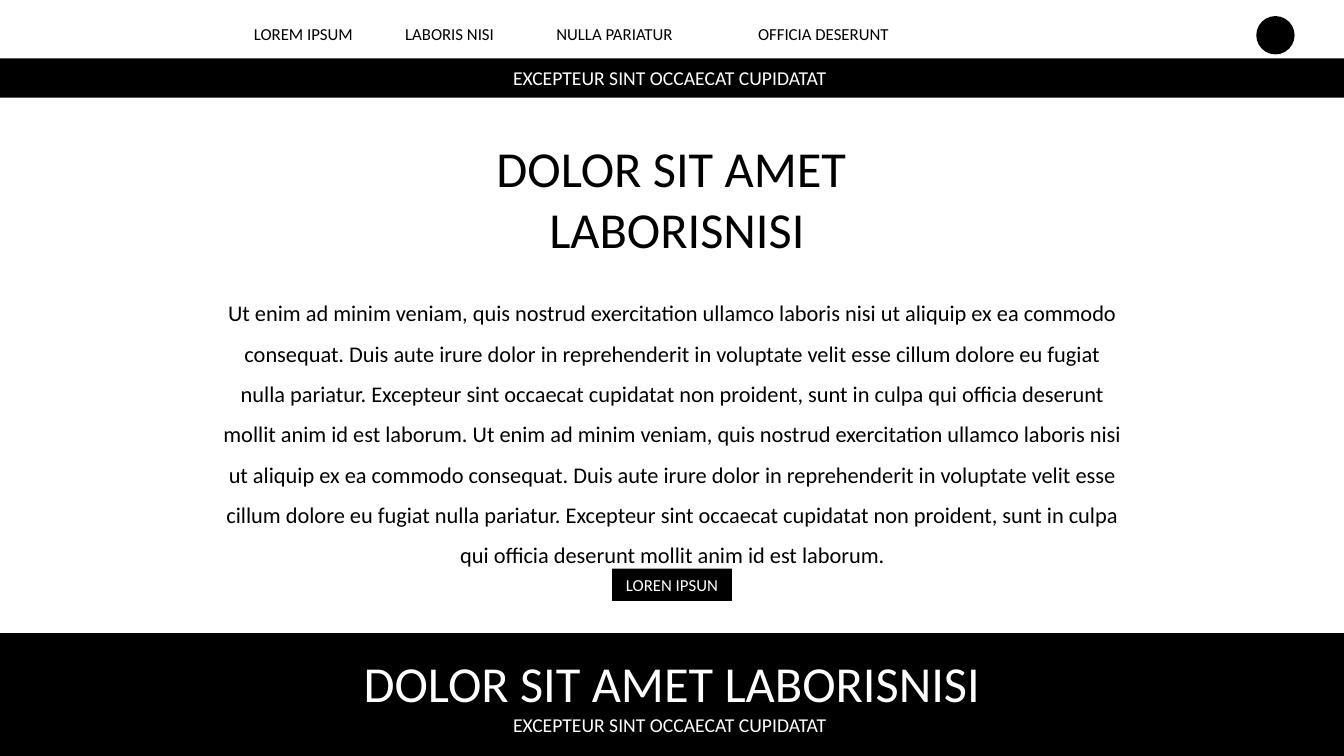
from pptx import Presentation
from pptx.dml.color import RGBColor
from pptx.enum.shapes import MSO_SHAPE as Shape
from pptx.enum.text import MSO_ANCHOR as Anchor, MSO_AUTO_SIZE as AutoSize, PP_ALIGN as Align
from pptx.util import Pt

PX = 9144  # EMU per px, 100 px to the inch
BLACK, WHITE = "000000", "FFFFFF"
TAGLINE = "EXCEPTEUR SINT OCCAECAT CUPIDATAT "


def add_block(box, kind=Shape.RECTANGLE):
    block = slide.shapes.add_shape(kind, *[n * PX for n in box])
    block.shadow.inherit = False
    block.fill.solid()
    block.fill.fore_color.rgb = RGBColor.from_string(BLACK)
    block.line.fill.background()
    return block


def write(holder, lines, color, insets, align=Align.CENTER, anchor=Anchor.MIDDLE, wrap=True):
    """Fill a shape with (text, point size) lines; insets are left, top, right, bottom."""
    frame = holder.text_frame
    frame.text = "\n".join(text for text, size in lines)
    frame.auto_size = AutoSize.NONE
    frame.word_wrap = wrap
    frame.vertical_anchor = anchor
    frame.margin_left, frame.margin_top, frame.margin_right, frame.margin_bottom = [
        n * PX for n in insets]
    for paragraph, (text, size) in zip(frame.paragraphs, lines):
        paragraph.alignment = align
        font = paragraph.runs[0].font
        font.name, font.size = "Calibri", Pt(size)
        font.color.rgb = RGBColor.from_string(color)


prs = Presentation()
prs.slide_width, prs.slide_height = 1333 * PX, 750 * PX
slide = prs.slides.add_slide(prs.slide_layouts[5])

# Header band
header = add_block((0, 58, 1333, 39))
write(header, [(TAGLINE, 14)], WHITE, (8, 8, 8, 8))

# Title
title = slide.shapes.title
title.left, title.top, title.width, title.height = [n * PX for n in (242, 116, 849, 161)]
write(title, [("DOLOR SIT AMET ", 36), ("LABORISNISI", 36)], BLACK, (20, 20, 10, 20))

# Navigation, spaced by the default one-inch tabs
sections = ["LOREM IPSUM", "LABORIS NISI", "NULLA PARIATUR", "OFFICIA DESERUNT "]
navigation = slide.shapes.add_textbox(*[n * PX for n in (242, 19, 850, 30)])
write(navigation, [("\t\t".join(sections), 12)], BLACK, (10, 5, 10, 5),
      Align.LEFT, Anchor.TOP, wrap=False)

# Footer band
footer = add_block((0, 628, 1333, 122))
write(footer, [("DOLOR SIT AMET LABORISNISI", 36), (TAGLINE, 14)], WHITE, (8, 8, 8, 8))

# Body copy: the same passage twice
passage = (
    "Ut enim ad minim veniam, quis nostrud exercitation ullamco laboris nisi ut aliquip "
    "ex ea commodo consequat. Duis aute irure dolor in reprehenderit in voluptate velit "
    "esse cillum dolore eu fugiat nulla pariatur. Excepteur sint occaecat cupidatat non "
    "proident, sunt in culpa qui officia deserunt mollit anim id est laborum."
)
story = slide.shapes.add_textbox(*[n * PX for n in (211, 279, 912, 293)])
write(story, [(" ".join([passage] * 2), 16)], BLACK, (10, 5, 10, 5), anchor=Anchor.TOP)
story.text_frame.paragraphs[0].line_spacing = 1.5

# Button
button = add_block((607, 564, 119, 32))
write(button, [("LOREN IPSUN", 12)], WHITE, (0, 0, 0, 0))

# Plain disc in the top corner
add_block((1246, 16, 38, 38), Shape.OVAL)

prs.save("out.pptx")
